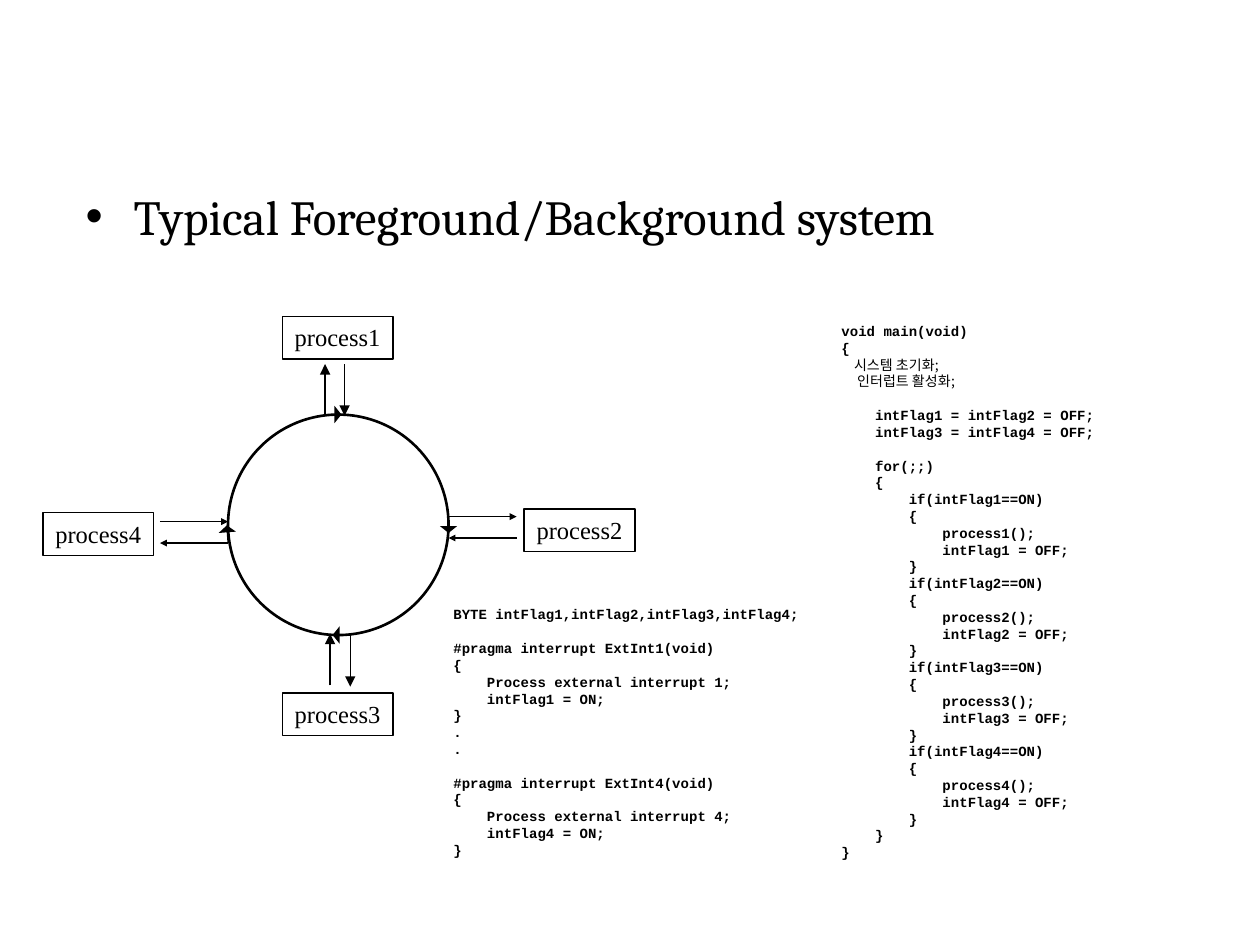
from lxml.etree import SubElement
from pptx import Presentation
from pptx.dml.color import RGBColor
from pptx.enum.shapes import MSO_CONNECTOR, MSO_SHAPE
from pptx.enum.text import MSO_ANCHOR, MSO_AUTO_SIZE, PP_ALIGN
from pptx.oxml.ns import qn
from pptx.util import Inches, Pt

BLACK = RGBColor(0x00, 0x00, 0x00)
CELL = Inches(0.1)  # grid of 100 columns by 75 rows
CODE_LINE = Pt(9.6)
BODY_FONT = "Cambria"
LABEL_FONT = "Times New Roman"
CODE_FONT = "Courier New"
KOREAN_FONT = "Noto Sans CJK KR"

PROCESSES = {  # label: left column, top row
    "process1": (22.4, 25.1),
    "process2": (41.6, 40.4),
    "process3": (22.4, 55),
    "process4": (3.4, 40.7),
}
# from column, from row, to column, to row
RING_ARROWS = [
    (35.6, 41, 35.6, 42.3),
    (27.7, 50.4, 26.4, 50.4),
    (18.1, 43, 18, 41.7),
    (25.7, 32.9, 27.1, 32.9),
]
VERTICAL_ARROWS = [
    (25.8, 32.9, 25.8, 28.9),
    (27.35, 28.9, 27.35, 33),
    (26.2, 54.4, 26.2, 50.3),
    (27.8, 50.4, 27.8, 54.5),
]
SIDE_ARROWS = [
    (35.6, 41, 41, 41),
    (41, 42.7, 35.6, 42.7),
    (12.7, 41.4, 18.1, 41.4),
    (18.1, 43.1, 12.7, 43.1),
]

HANDLER = """#pragma interrupt ExtInt{0}(void)
{{
    Process external interrupt {0};
    intFlag{0} = ON;
}}"""
INTERRUPT_CODE = "\n".join([
    "BYTE intFlag1,intFlag2,intFlag3,intFlag4;", "",
    HANDLER.format(1), ".", ".", "", HANDLER.format(4)])

FLAG_CHECK = """        if(intFlag{0}==ON)
        {{
            process{0}();
            intFlag{0} = OFF;
        }}"""
MAIN_START = """void main(void)
{
    시스템 초기화;
     인터럽트 활성화;

    intFlag1 = intFlag2 = OFF;
    intFlag3 = intFlag4 = OFF;

    for(;;)
    {"""
MAIN_CODE = "\n".join(
    [MAIN_START, *(FLAG_CHECK.format(n) for n in range(1, 5)), "    }", "}"])


def cells(*counts):
    return [round(count * CELL) for count in counts]


def write(paragraph, text, *, font, size, bold=False):
    run = paragraph.add_run()
    run.text = text
    run.font.name = font
    run.font.size = Pt(size)
    run.font.bold = bold
    run.font.color.rgb = BLACK
    return run


def add_outline(shapes, preset, place, weight):
    outline = shapes.add_shape(preset, *cells(*place))
    outline.shadow.inherit = False
    outline.fill.background()
    outline.line.color.rgb = BLACK
    outline.line.width = Pt(weight)
    return outline


def add_process(shapes, label, column, row):
    process = add_outline(shapes, MSO_SHAPE.RECTANGLE, (column, row, 8.8, 3.4), 0.75)
    frame = process.text_frame
    frame.word_wrap = False
    frame.vertical_anchor = MSO_ANCHOR.TOP
    paragraph = frame.paragraphs[0]
    paragraph.alignment = PP_ALIGN.LEFT
    write(paragraph, label, font=LABEL_FONT, size=14)


def add_arrow(shapes, ends, head_width, head_length):
    arrow = shapes.add_connector(MSO_CONNECTOR.STRAIGHT, *cells(*ends))
    arrow.line.color.rgb = BLACK
    arrow.line.width = Pt(0.75)
    SubElement(arrow.line._get_or_add_ln(), qn("a:tailEnd"),
               type="triangle", w=head_width, len=head_length)
    SubElement(arrow._element.spPr, qn("a:effectLst"))


def add_code(shapes, code, place):
    """Add a listing; an empty line becomes space before the next line."""
    frame = shapes.add_textbox(*cells(*place)).text_frame
    frame.word_wrap = True
    paragraph, gap = frame.paragraphs[0], 0
    for number, line in enumerate(code.split("\n")):
        if not line:
            gap = CODE_LINE
            continue
        if number:
            paragraph = frame.add_paragraph()
        paragraph.alignment = PP_ALIGN.JUSTIFY
        paragraph.line_spacing = CODE_LINE
        paragraph.space_before, gap = gap, 0
        korean = not line.isascii()
        run = write(paragraph, line, font=KOREAN_FONT if korean else CODE_FONT,
                    size=8, bold=not korean)
        if korean:
            SubElement(run.font._element, qn("a:ea"), typeface=KOREAN_FONT)


def fill_body(body, text):
    body.left, body.top, body.width, body.height = cells(5.8, 14.3, 85, 6.7)
    frame = body.text_frame
    frame.auto_size = MSO_AUTO_SIZE.NONE
    paragraph = frame.paragraphs[0]
    paragraph.space_before = 0
    properties = paragraph._p.get_or_add_pPr()
    properties.set("marL", str(Inches(0.38)))
    properties.set("indent", str(-Inches(0.38)))
    SubElement(properties, qn("a:buChar"), char="•")
    write(paragraph, text, font=BODY_FONT, size=28)


def add_diagram(slide):
    diagram = slide.shapes.add_group_shape().shapes
    add_outline(diagram, MSO_SHAPE.OVAL, (18.1, 32.9, 17.5, 17.5), 1.5)
    for label, (column, row) in PROCESSES.items():
        add_process(diagram, label, column, row)
    for arrows, head_width, head_length in (
            (RING_ARROWS, "lg", "sm"),
            (VERTICAL_ARROWS, "med", "med"),
            (SIDE_ARROWS, "sm", "sm")):
        for ends in arrows:
            add_arrow(diagram, ends, head_width, head_length)


def main():
    deck = Presentation()
    deck.slide_width, deck.slide_height = cells(100, 75)
    slide = deck.slides.add_slide(deck.slide_layouts[1])
    empty_title = slide.shapes.title._element
    empty_title.getparent().remove(empty_title)
    fill_body(slide.placeholders[1], "Typical Foreground/Background system")
    add_diagram(slide)
    add_code(slide.shapes, INTERRUPT_CODE, (35, 47.6, 29.7, 23.6))
    add_code(slide.shapes, MAIN_CODE, (65.8, 25.1, 30.8, 44.9))
    deck.save("out.pptx")


if __name__ == "__main__":
    main()
